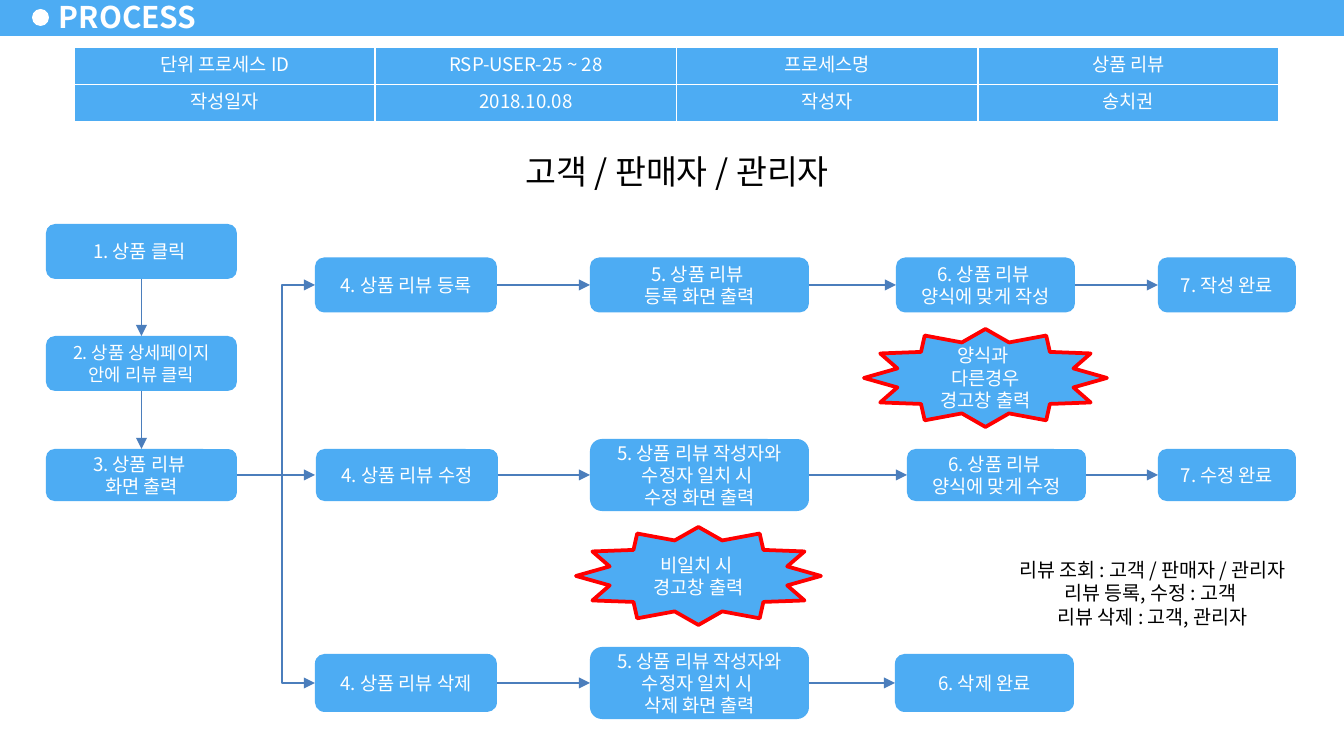
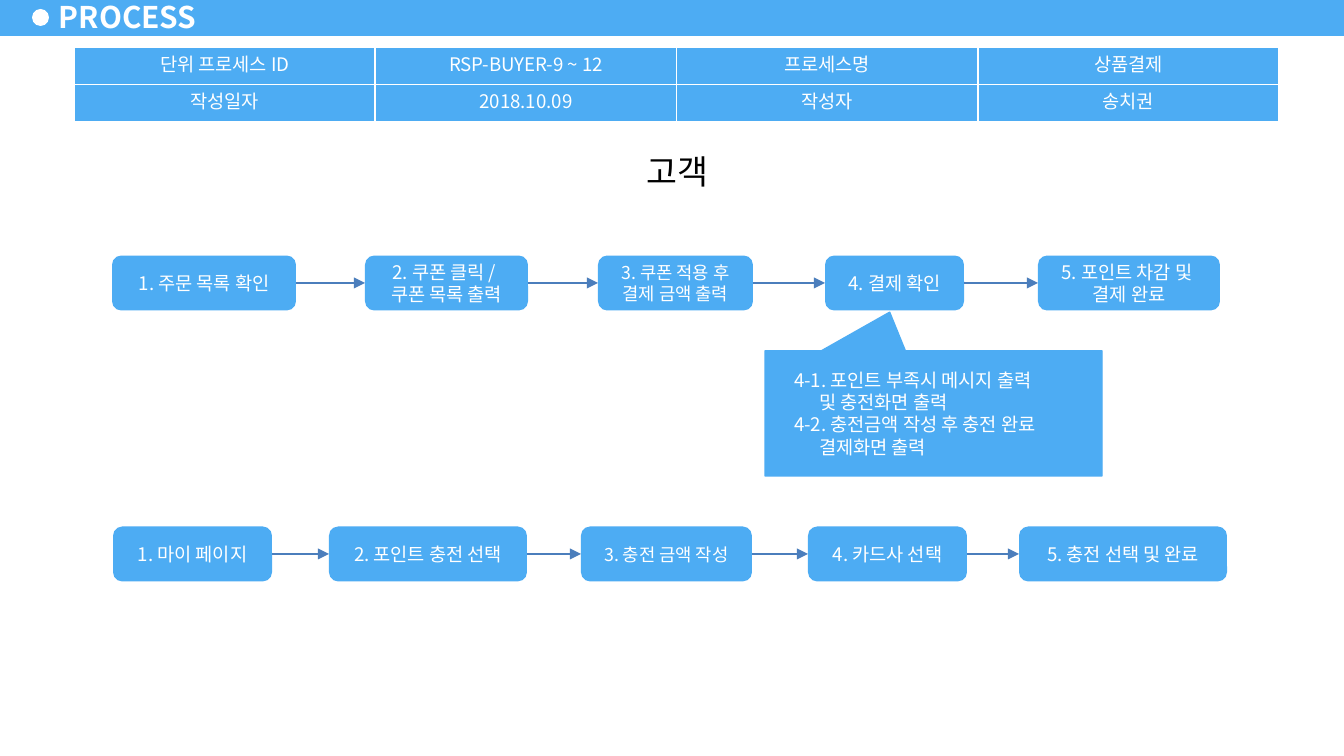
import lxml.etree
import pptx
import pptx.dml.color
import pptx.enum.shapes
import pptx.enum.text
import pptx.oxml.ns
import pptx.util

SCALE = 914400 / 134.4  # EMU per pixel
FONT = "Noto Sans CJK KR"
COLORS = {
    "blue": "4DACF3",
    "arrow": "4B7EBC",
    "warning": "FF0000",
    "white": "FFFFFF",
    "black": "000000",
}
SHAPES = pptx.enum.shapes.MSO_SHAPE
CONNECTORS = pptx.enum.shapes.MSO_CONNECTOR
ALIGN = pptx.enum.text.PP_ALIGN
ANCHOR = pptx.enum.text.MSO_ANCHOR
TOP, LEFT, BOTTOM, RIGHT = range(4)  # connection sites of a box


def px(pixels):
    return pptx.util.Emu(round(pixels * SCALE))


def rgb(name):
    return pptx.dml.color.RGBColor.from_string(COLORS[name])


def add_xml(parent, tag, **attributes):
    return lxml.etree.SubElement(parent, pptx.oxml.ns.qn(tag), attributes)


# ---- Text, shapes and arrows ----
def format_text(frame, size, color="white", align=ALIGN.CENTER, bold=False):
    for paragraph in frame.paragraphs:
        paragraph.alignment = align
        paragraph.line_spacing = pptx.util.Pt(size * 1.2)
        font = paragraph.font
        font.size = pptx.util.Pt(size)
        font.bold = bold
        font.color.rgb = rgb(color)
        font.name = FONT
        defaults = paragraph._p.get_or_add_pPr().find(pptx.oxml.ns.qn("a:defRPr"))
        add_xml(defaults, "a:ea", typeface=FONT)


def add_shape(slide, kind, box, fill="blue", line=None, line_width=0.75):
    shape = slide.shapes.add_shape(kind, *map(px, box))
    shape.shadow.inherit = False
    shape.fill.solid()
    shape.fill.fore_color.rgb = rgb(fill)
    if line:
        shape.line.color.rgb = rgb(line)
        shape.line.width = pptx.util.Pt(line_width)
    else:
        shape.line.fill.background()
    return shape


def add_step(slide, box, text, size=10):
    shape = add_shape(slide, SHAPES.ROUNDED_RECTANGLE, box)
    shape.text_frame.text = text
    format_text(shape.text_frame, size)
    return shape


def add_warning(slide, box, text):
    star = add_shape(slide, SHAPES.STAR_12_POINT, box, line="warning", line_width=2)
    star.text_frame.text = text
    format_text(star.text_frame, 10)


def add_label(slide, box, text, size):
    label = add_shape(slide, SHAPES.RECTANGLE, box, fill="white")
    label.text_frame.text = text
    label.text_frame.vertical_anchor = ANCHOR.TOP
    format_text(label.text_frame, size, "black")


def add_arrow(slide, kind, begin=(0, 0), end=(0, 0)):
    arrow = slide.shapes.add_connector(kind, *map(px, begin + end))
    arrow.line.color.rgb = rgb("arrow")
    arrow.line.width = pptx.util.Pt(0.75)
    add_xml(arrow.line._get_or_add_ln(), "a:tailEnd", type="triangle")
    add_xml(arrow.element.spPr, "a:effectLst")
    return arrow


def join(slide, source, target, begin_site, end_site):
    arrow = add_arrow(slide, CONNECTORS.STRAIGHT)
    arrow.begin_connect(source, begin_site)
    arrow.end_connect(target, end_site)


def add_elbow(slide, begin, end, bend):
    arrow = add_arrow(slide, CONNECTORS.ELBOW, begin, end)
    share = round((bend - begin[0]) / (end[0] - begin[0]) * 100000)
    guides = arrow.element.spPr.find(".//" + pptx.oxml.ns.qn("a:avLst"))
    add_xml(guides, "a:gd", name="adj1", fmla=f"val {share}")


# ---- Parts that every slide has ----
def prepare_layout(slide):
    """Put the band and its dot on the layout of the slide."""
    layout = slide.slide_layout
    for placeholder in list(layout.placeholders)[1:]:
        layout.shapes.element.remove(placeholder.element)
    band = add_shape(slide, SHAPES.RECTANGLE, (0, -2, 1344, 38))
    dot = add_shape(slide, SHAPES.OVAL, (32, 9, 17, 17), fill="white")
    for shape in (band, dot):
        layout.shapes.element.append(shape.element)


def place_title(slide, box):
    title = slide.shapes.title
    title.left, title.top, title.width, title.height = map(px, box)
    frame = title.text_frame
    frame.text = "PROCESS"
    frame.auto_size = pptx.enum.text.MSO_AUTO_SIZE.NONE
    frame.vertical_anchor = ANCHOR.MIDDLE
    frame.margin_left = frame.margin_right = px(12)
    frame.margin_top = frame.margin_bottom = px(5)
    format_text(frame, 16, align=ALIGN.LEFT, bold=True)


def add_process_table(slide, box, process_id, name, date):
    rows = (
        ("단위 프로세스 ID", process_id, "프로세스명", name),
        ("작성일자", date, "작성자", "송치권"),
    )
    table = slide.shapes.add_table(len(rows), len(rows[0]), *map(px, box)).table
    table.first_row = table.horz_banding = False
    for row, texts in enumerate(rows):
        for column, text in enumerate(texts):
            cell = table.cell(row, column)
            for side in ("a:lnL", "a:lnR", "a:lnT", "a:lnB"):
                border = add_xml(cell._tc.get_or_add_tcPr(), side, w="12700")
                add_xml(add_xml(border, "a:solidFill"), "a:srgbClr", val=COLORS["white"])
            cell.fill.solid()
            cell.fill.fore_color.rgb = rgb("blue")
            cell.vertical_anchor = ANCHOR.MIDDLE
            cell.text = text
            format_text(cell.text_frame, 10)


def add_process_slide(presentation, process_id, name, date, actors):
    slide = presentation.slides.add_slide(presentation.slide_layouts[5])
    if len(presentation.slides) == 1:
        prepare_layout(slide)
    place_title(slide, (47, -5, 164, 43))
    add_process_table(slide, (74, 47, 1205, 75), process_id, name, date)
    add_label(slide, (437, 144, 480, 54), actors, 18)
    return slide


# ---- Flows ----
def add_flow_row(slide, middle, height, steps):
    """Steps are (left, width, text, [size, [height]]), centred on one line."""
    shapes = []
    for left, width, text, *extra in steps:
        size, step_height = (extra + [10, height][len(extra):])
        box = (left, middle - step_height / 2, width, step_height)
        shapes.append(add_step(slide, box, text, size))
    for source, target in zip(shapes, shapes[1:]):
        join(slide, source, target, RIGHT, LEFT)


def add_opening_column(slide, left, top):
    steps = (
        (0, 55, "1. 상품 클릭 ", 10),
        (112, 55, "2. 상품 상세페이지\n안에 리뷰 클릭", 9.5),
        (225, 52, "3. 상품 리뷰 \n화면 출력", 10),
    )
    shapes = [
        add_step(slide, (left, top + offset, 191, height), text, size)
        for offset, height, text, size in steps
    ]
    for source, target in zip(shapes, shapes[1:]):
        join(slide, source, target, BOTTOM, TOP)


def add_branches(slide, begin, bend, right, middles):
    """Split the flow towards the rows above, level with and below it."""
    upper, level, lower = middles
    add_elbow(slide, begin, (right, upper), bend)
    add_elbow(slide, begin, (right, lower), bend)
    add_arrow(slide, CONNECTORS.STRAIGHT, (bend, level), (right, level))


def add_callout(slide, left, top):
    callout = add_shape(
        slide, SHAPES.RECTANGULAR_CALLOUT, (left, top, 337, 125), line="blue"
    )
    callout.adjustments[0] = -0.13
    callout.adjustments[1] = -0.81
    textbox = slide.shapes.add_textbox(*map(px, (left + 16, top + 11, 309, 105)))
    frame = textbox.text_frame
    frame.word_wrap = True
    frame.text = (
        "4-1. 포인트 부족시 메시지 출력\n및 충전화면 출력\n"
        "4-2. 충전금액 작성 후 충전 완료\n결제화면 출력"
    )
    format_text(frame, 10, align=ALIGN.LEFT)
    for paragraph in frame.paragraphs[1::2]:
        paragraph._p.get_or_add_pPr().set("marL", str(px(25)))


# ---- Slides ----
def build_review_slide(presentation):
    slide = add_process_slide(
        presentation, "RSP-USER-25 ~ 28", "상품 리뷰", "2018.10.08", "고객 / 판매자 / 관리자"
    )
    middles = (285, 475, 683)
    matching = "5. 상품 리뷰 작성자와\v수정자 일치 시 \n{} 화면 출력"
    add_opening_column(slide, 46, 224)
    add_flow_row(slide, middles[0], 55, (
        (315, 182, "4. 상품 리뷰 등록"),
        (590, 219, "5. 상품 리뷰 \v등록 화면 출력"),
        (896, 179, "6. 상품 리뷰 \v양식에 맞게 작성"),
        (1158, 138, "7. 작성 완료"),
    ))
    add_flow_row(slide, middles[1], 52, (
        (316, 182, "4. 상품 리뷰 수정"),
        (590, 219, matching.format("수정"), 10, 72),
        (907, 179, "6. 상품 리뷰 \v양식에 맞게 수정"),
        (1158, 138, "7. 수정 완료"),
    ))
    add_flow_row(slide, middles[2], 58, (
        (315, 182, "4. 상품 리뷰 삭제"),
        (590, 219, matching.format("삭제"), 10, 72),
        (895, 179, "6. 삭제 완료"),
    ))
    add_branches(slide, (237, 475), 282, 315, middles)
    add_warning(slide, (864, 329, 243, 98), "양식과 \n다른경우\v경고창 출력")
    add_warning(slide, (576, 527, 245, 98), "비일치 시 \v경고창 출력")
    add_label(
        slide, (986, 551, 333, 85),
        "리뷰 조회 : 고객 / 판매자 / 관리자\v리뷰 등록, 수정 : 고객 \v리뷰 삭제 : 고객, 관리자",
        10.5,
    )


def build_payment_slide(presentation):
    slide = add_process_slide(
        presentation, "RSP-BUYER-9 ~ 12", "상품결제", "2018.10.09", "고객"
    )
    add_flow_row(slide, 283, 55, (
        (112, 184, "1. 주문 목록 확인"),
        (365, 163, "2. 쿠폰 클릭 / \n쿠폰 목록 출력"),
        (598, 155, "3. 쿠폰 적용 후\n결제 금액 출력", 9.5),
        (825, 139, "4. 결제 확인"),
        (1038, 182, "5. 포인트 차감 및 \n결제 완료"),
    ))
    add_callout(slide, 765, 351)
    add_flow_row(slide, 554, 55, (
        (113, 159, "1. 마이 페이지"),
        (329, 198, "2. 포인트 충전 선택"),
        (581, 171, "3. 충전 금액 작성", 9.5),
        (808, 159, "4. 카드사 선택"),
        (1019, 208, "5. 충전 선택 및 완료"),
    ))


presentation = pptx.Presentation()
presentation.slide_width = px(1344)
presentation.slide_height = px(756)
build_review_slide(presentation)
build_payment_slide(presentation)
presentation.save("out.pptx")
